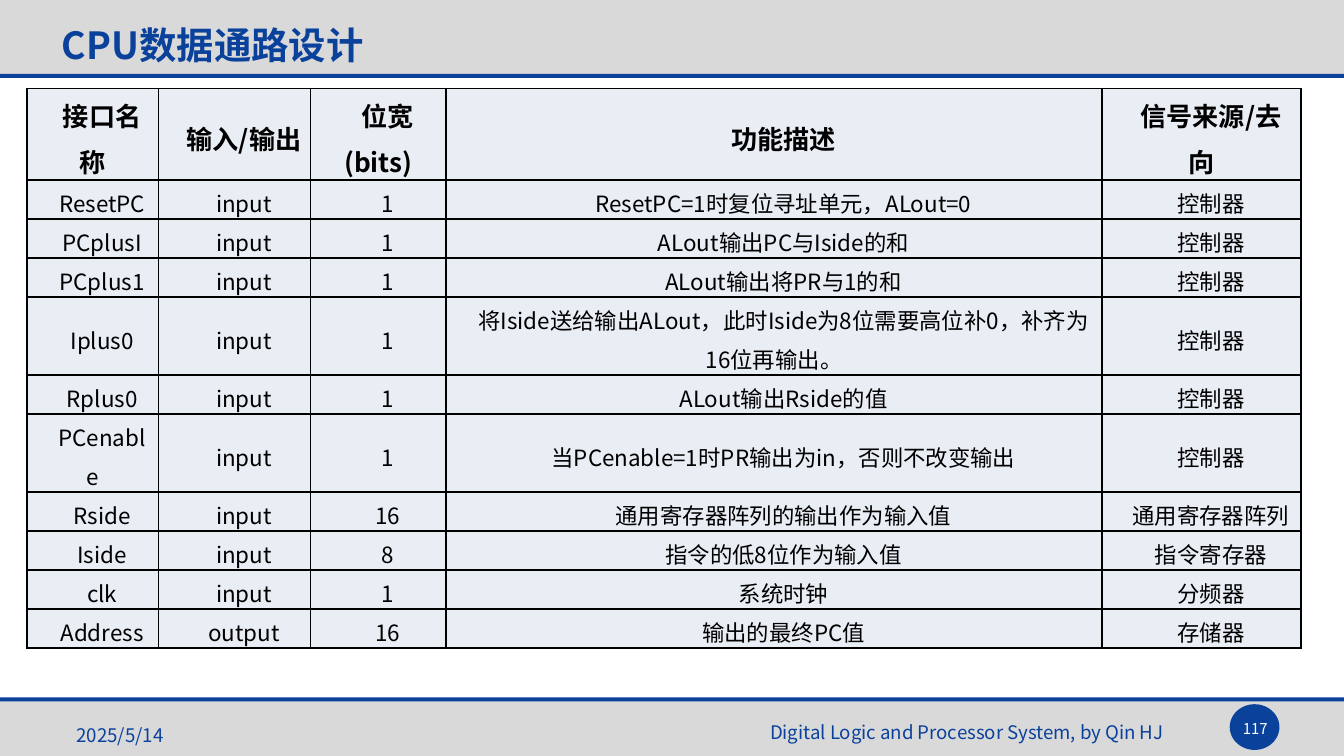
from lxml import etree
from pptx import Presentation
from pptx.dml.color import RGBColor
from pptx.enum.shapes import MSO_SHAPE
from pptx.enum.text import MSO_ANCHOR, MSO_AUTO_SIZE, PP_ALIGN
from pptx.oxml.ns import qn
from pptx.util import Inches, Pt

RECT, OVAL = MSO_SHAPE.RECTANGLE, MSO_SHAPE.OVAL
LEFT, CENTER = PP_ALIGN.LEFT, PP_ALIGN.CENTER
TOP, MIDDLE = MSO_ANCHOR.TOP, MSO_ANCHOR.MIDDLE
NO_FIT = MSO_AUTO_SIZE.NONE


class Theme:
    font = "Noto Sans CJK SC"
    blue, gray, pale = "0A419B", "D9D9D9", "E9EDF4"
    black, white = "000000", "FFFFFF"
    title, head, body, foot, page = 20, 14, 12, 10, 8


def add_run(para, text, size, color, bold=False):
    run = para.add_run()
    run.text = text
    font = run.font
    font.name, font.size, font.bold = Theme.font, Pt(size), bold
    font.color.rgb = RGBColor.from_string(color)
    east = etree.SubElement(font._element, qn("a:ea"))
    east.set("typeface", Theme.font)


def add_edges(cell):
    """Draw a thin black line on all four sides of a cell."""
    props = cell._tc.get_or_add_tcPr()
    for side in ("lnL", "lnR", "lnT", "lnB"):
        line = etree.SubElement(props, qn("a:" + side), w=str(Pt(1)))
        fill = etree.SubElement(line, qn("a:solidFill"))
        etree.SubElement(fill, qn("a:srgbClr"), val=Theme.black)


deck = Presentation()
wide = 10
high = wide * 9 / 16
deck.slide_width, deck.slide_height = Inches(wide), Inches(high)
slide = deck.slides.add_slide(deck.slide_layouts[5])
shapes = slide.shapes

# Bands, rules and page disc
for kind, color, box in (
    (RECT, Theme.gray, (0, 5.21, wide, high - 5.21)),
    (RECT, Theme.gray, (0, 0, wide, 0.55)),
    (OVAL, Theme.blue, (9.15, 5.24, 0.37, 0.34)),
    (RECT, Theme.blue, (0, 0.55, wide, 0.03)),
    (RECT, Theme.blue, (0, 5.19, wide, 0.03)),
):
    shape = shapes.add_shape(kind, *map(Inches, box))
    shape.shadow.inherit = False
    shape.fill.solid()
    shape.fill.fore_color.rgb = RGBColor.from_string(color)
    shape.line.fill.background()

# Signal table
rows = (
    ("接口名称", "输入/输出", "位宽(bits)", "功能描述", "信号来源/去向"),
    ("ResetPC", "input", "1", "ResetPC=1时复位寻址单元，ALout=0", "控制器"),
    ("PCplusI", "input", "1", "ALout输出PC与Iside的和", "控制器"),
    ("PCplus1", "input", "1", "ALout输出将PR与1的和", "控制器"),
    ("Iplus0", "input", "1",
     "将Iside送给输出ALout，此时Iside为8位需要高位补0，补齐为16位再输出。", "控制器"),
    ("Rplus0", "input", "1", "ALout输出Rside的值", "控制器"),
    ("PCenable", "input", "1", "当PCenable=1时PR输出为in，否则不改变输出", "控制器"),
    ("Rside", "input", "16", "通用寄存器阵列的输出作为输入值", "通用寄存器阵列"),
    ("Iside", "input", "8", "指令的低8位作为输入值", "指令寄存器"),
    ("clk", "input", "1", "系统时钟", "分频器"),
    ("Address", "output", "16", "输出的最终PC值", "存储器"),
)
widths = (0.98, 1.13, 1.01, 4.88, 1.48)
tall = {0: 0.54, 4: 0.48, 5: 0.24, 6: 0.24}
heights = [tall.get(i, 0.27) for i in range(len(rows))]
frame = shapes.add_table(
    len(rows), len(widths), Inches(0.2), Inches(0.66),
    Inches(sum(widths)), Inches(sum(heights)))
table = frame.table
table.horz_banding = False
for col, width in zip(table.columns, widths):
    col.width = Inches(width)
for i, texts in enumerate(rows):
    table.rows[i].height = Inches(heights[i])
    for j, text in enumerate(texts):
        cell = table.cell(i, j)
        cell.margin_left = cell.margin_right = Inches(0.06)
        cell.margin_top = cell.margin_bottom = 0
        cell.vertical_anchor = MIDDLE
        add_edges(cell)
        cell.fill.solid()
        cell.fill.fore_color.rgb = RGBColor.from_string(Theme.pale)
        para = cell.text_frame.paragraphs[0]
        para.alignment, para.line_spacing = CENTER, 1.2
        para._p.get_or_add_pPr().set("indent", str(Inches(0.14)))
        size = Theme.body if i else Theme.head
        add_run(para, text, size, Theme.black, bold=i == 0)

# Title and footer texts
title = shapes.title
title.element.getparent().append(title.element)
for box, text, size, color, align, anchor, place in (
    (title, "CPU数据通路设计", Theme.title, Theme.blue, LEFT, MIDDLE,
     (0.39, 0.08, 7.16, 0.51)),
    (None, "Digital Logic and Processor System, by Qin HJ", Theme.foot,
     Theme.blue, LEFT, TOP, (5.66, 5.32, 3.36, 0.31)),
    (None, "2025/5/14", Theme.foot, Theme.blue, LEFT, MIDDLE,
     (0.5, 5.32, 2.33, 0.3)),
    (None, "117", Theme.page, Theme.white, CENTER, MIDDLE,
     (9.1, 5.27, 0.48, 0.3)),
):
    place = [Inches(x) for x in place]
    box = box or shapes.add_textbox(*place)
    box.left, box.top, box.width, box.height = place
    body = box.text_frame
    body.word_wrap, body.auto_size = True, NO_FIT
    body.vertical_anchor = anchor
    body.margin_left = body.margin_right = Inches(0.07)
    body.margin_top = body.margin_bottom = Inches(0.04)
    para = body.paragraphs[0]
    para.alignment = align
    add_run(para, text, size, color, bold=box is title)

deck.save("out.pptx")
